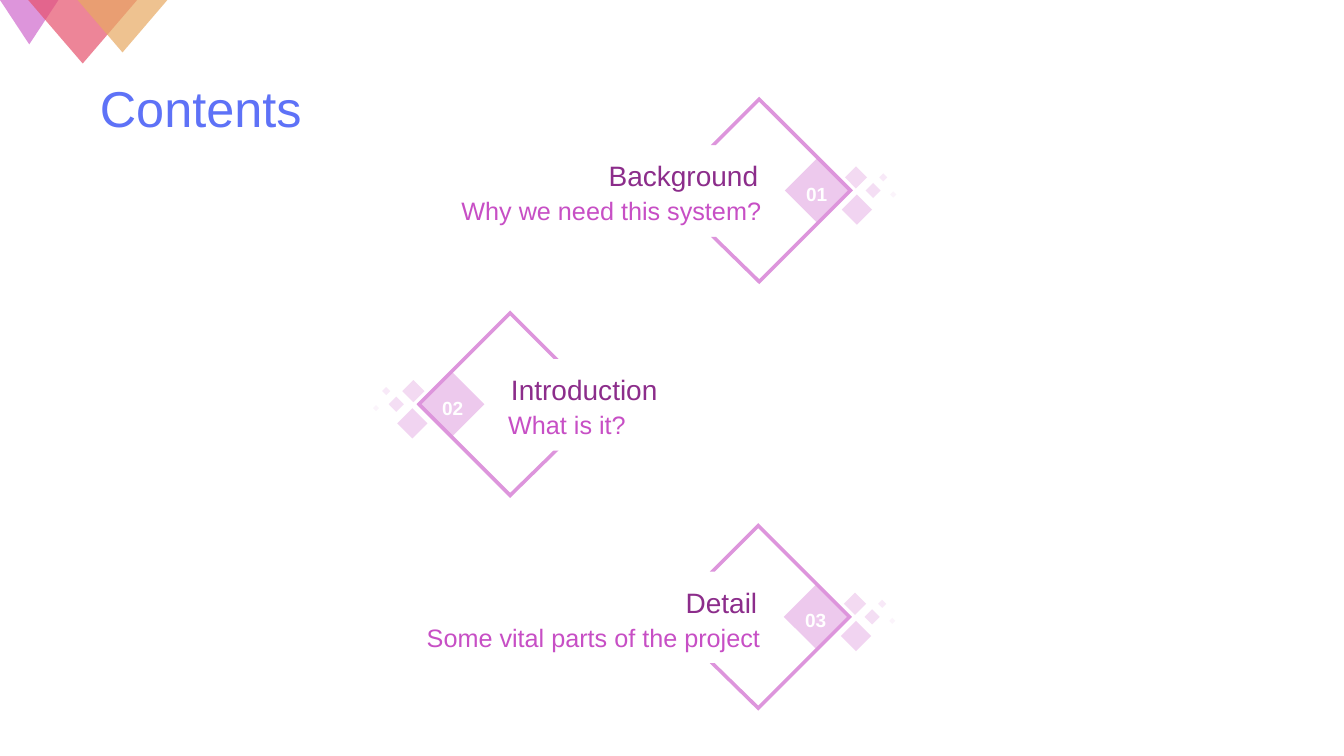
from lxml import etree
from pptx import Presentation
from pptx.dml.color import RGBColor
from pptx.enum.shapes import MSO_SHAPE
from pptx.enum.text import MSO_ANCHOR, MSO_AUTO_SIZE, PP_ALIGN
from pptx.oxml.ns import qn
from pptx.util import Inches, Pt

DIAMOND, TRIANGLE = MSO_SHAPE.DIAMOND, MSO_SHAPE.ISOSCELES_TRIANGLE
MIDDLE, BOTTOM = MSO_ANCHOR.MIDDLE, MSO_ANCHOR.BOTTOM
LEFT, CENTER, RIGHT, JUSTIFY = PP_ALIGN.LEFT, PP_ALIGN.CENTER, PP_ALIGN.RIGHT, PP_ALIGN.JUSTIFY

COLORS = {
    "title": "5E72F7", "heading": "8C2D8B", "detail": "C74FC5",
    "frame": "DD95DC", "number": "FFFFFF",
    "violet": "CF68CD", "rose": "E6526D", "amber": "E8A962",
}
FONT = "Arial"

# left, width, height, color
CORNER_TRIANGLES = [
    (0, 0.58, 0.44, "violet"),
    (0.28, 1.08, 0.63, "rose"),
    (0.77, 0.89, 0.52, "amber"),
]

# Offsets from the centre of a frame that points right
FRAME_OUTLINE = [
    (0, -0.93), (0.93, 0), (0, 0.93), (-0.48, 0.46), (-0.43, 0.46),
    (0, 0.88), (0.88, 0), (0, -0.88), (-0.43, -0.45), (-0.48, -0.45),
]
NUMBER_OFFSET, NUMBER_SIZE, NUMBER_OPACITY = 0.57, 0.63, 50
# x offset, y offset, size, opacity
SPARKS = [
    (0.97, 0.19, 0.3, 40),
    (0.96, -0.13, 0.22, 35),
    (1.13, 0, 0.15, 30),
    (1.23, -0.13, 0.08, 20),
    (1.33, 0.04, 0.06, 10),
]
LABEL_WIDTH, LABEL_HEIGHT, LABEL_OVERHANG = 3.93, 0.36, 0.09

# centre x, centre y, direction (1 right, -1 left), number, heading, detail
SECTIONS = [
    (7.53, 1.89, 1, "01", "Background", "Why we need this system?"),
    (5.06, 4.01, -1, "02", "Introduction", "What is it?"),
    (7.52, 6.12, 1, "03", "Detail", "Some vital parts of the project"),
]


def paint(shape, color, opacity=100):
    """Fill without outline or shadow; opacity in percent."""
    shape.shadow.inherit = False
    shape.line.fill.background()
    shape.fill.solid()
    shape.fill.fore_color.rgb = RGBColor.from_string(COLORS[color])
    if opacity < 100:
        tint = shape.fill._xPr.find(qn("a:solidFill"))[0]
        etree.SubElement(tint, qn("a:alpha"), val=str(opacity * 1000))


def write(shape, text, size, color, align, anchor, insets=(0, 0), bold=False, spacing=1.0):
    """Put one formatted paragraph in a shape; insets are horizontal, vertical."""
    frame = shape.text_frame
    across, down = (Inches(inset) for inset in insets)
    settings = {
        "word_wrap": True, "auto_size": MSO_AUTO_SIZE.NONE, "vertical_anchor": anchor,
        "margin_left": across, "margin_right": across,
        "margin_top": down, "margin_bottom": down,
    }
    for name, value in settings.items():
        setattr(frame, name, value)
    paragraph = frame.paragraphs[0]
    paragraph.alignment = align
    paragraph.line_spacing = spacing
    run = paragraph.add_run()
    run.text = text
    for name, value in {"name": FONT, "size": Pt(size), "bold": bold}.items():
        setattr(run.font, name, value)
    run.font.color.rgb = RGBColor.from_string(COLORS[color])


def add_title(slide, text):
    title = slide.shapes.title
    place = {"left": 0.92, "top": 0.63, "width": 11.5, "height": 0.94}
    for name, value in place.items():
        setattr(title, name, Inches(value))
    write(title, text, 36, "title", LEFT, MIDDLE, (0.07, 0.04), spacing=0.9)


def add_corner_triangle(slide, left, width, height, color):
    triangle = slide.shapes.add_shape(
        TRIANGLE, Inches(left), 0, Inches(width), Inches(height))
    triangle.rotation = 180
    paint(triangle, color, 70)


def add_diamond(slide, center_x, center_y, size, opacity):
    diamond = slide.shapes.add_shape(
        DIAMOND, Inches(center_x - size / 2), Inches(center_y - size / 2),
        Inches(size), Inches(size))
    paint(diamond, "frame", opacity)
    return diamond


def add_open_frame(slide, center_x, center_y, direction):
    corners = [(Inches(center_x + direction * dx), Inches(center_y + dy))
               for dx, dy in FRAME_OUTLINE]
    builder = slide.shapes.build_freeform(*corners[0])
    builder.add_line_segments(corners[1:], close=True)
    paint(builder.convert_to_shape(), "frame")


def add_label(slide, left, top, text, size, color, align, anchor, inset):
    label = slide.shapes.add_textbox(
        Inches(left), Inches(top), Inches(LABEL_WIDTH), Inches(LABEL_HEIGHT))
    write(label, text, size, color, align, anchor, (inset, 0))


def add_section(slide, center_x, center_y, direction, number, heading, detail):
    add_open_frame(slide, center_x, center_y, direction)
    badge = add_diamond(slide, center_x + direction * NUMBER_OFFSET, center_y,
                        NUMBER_SIZE, NUMBER_OPACITY)
    write(badge, number, 13.6, "number", CENTER, MIDDLE, bold=True, spacing=1.3)
    for dx, dy, size, opacity in SPARKS:
        add_diamond(slide, center_x + direction * dx, center_y + dy, size, opacity)

    if direction > 0:
        left, align = center_x + LABEL_OVERHANG - LABEL_WIDTH, RIGHT
    else:
        left, align = center_x - LABEL_OVERHANG, JUSTIFY
    top = center_y - 0.34
    add_label(slide, left, top, heading, 20, "heading", align, BOTTOM, 0.1)
    add_label(slide, left, top + LABEL_HEIGHT, detail, 18, "detail", align, MIDDLE, 0.07)


def main():
    deck = Presentation()
    deck.slide_width, deck.slide_height = Inches(13.33), Inches(7.5)
    slide = deck.slides.add_slide(deck.slide_layouts.get_by_name("Title Only"))
    for triangle in CORNER_TRIANGLES:
        add_corner_triangle(slide, *triangle)
    for section in SECTIONS:
        add_section(slide, *section)
    add_title(slide, "Contents")
    deck.save("out.pptx")


if __name__ == "__main__":
    main()
